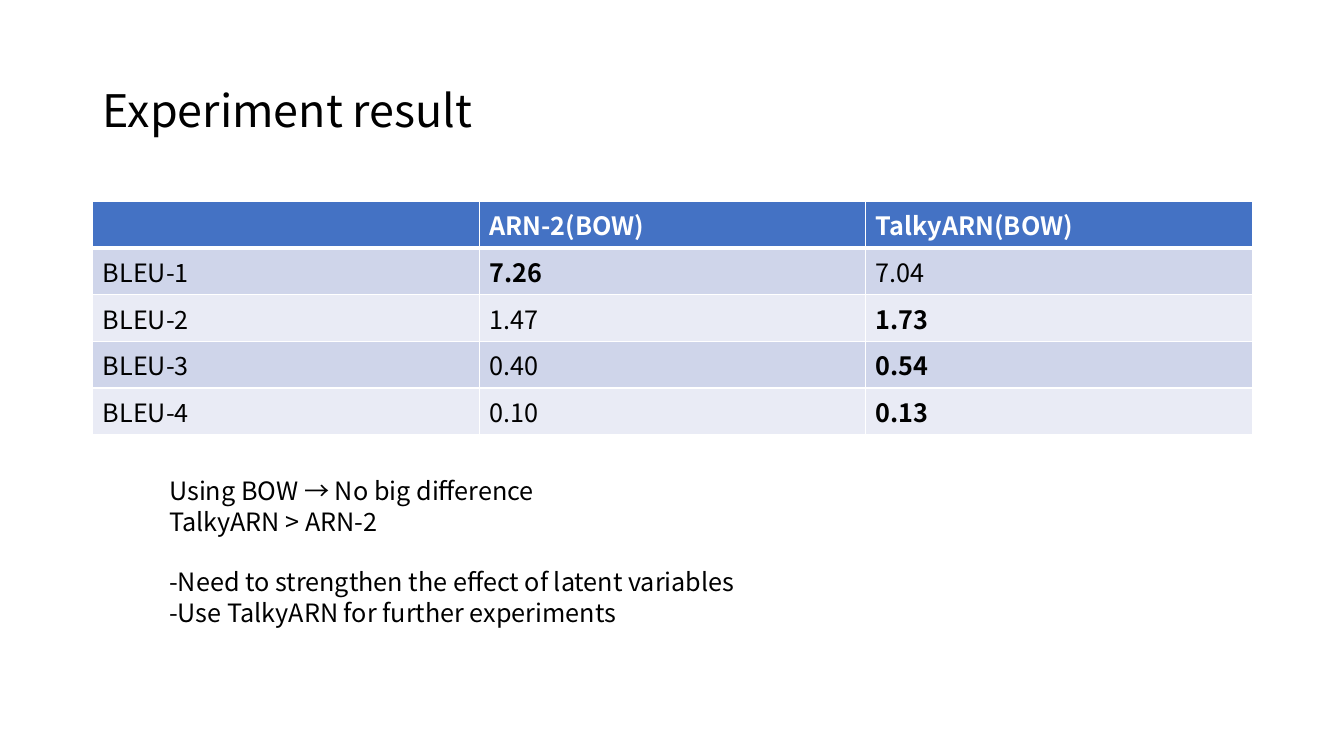
from lxml.etree import SubElement
from pptx import Presentation
from pptx.dml.color import RGBColor
from pptx.enum.text import MSO_ANCHOR, MSO_AUTO_SIZE, PP_ALIGN
from pptx.oxml.ns import qn
from pptx.util import Emu, Inches, Pt

FONT = "Noto Sans CJK KR"
COLORS = {"text": "000000", "white": "FFFFFF", "header": "4472C4",
          "odd": "CFD5EA", "even": "E9EBF5"}


def write(paragraph, text, size=18, color="text", bold=False, spacing=None, before=0):
    paragraph.line_spacing = spacing
    paragraph.space_before = Pt(before)
    run = paragraph.add_run()
    run.text = text
    run.font.size = Pt(size)
    run.font.name = FONT
    run.font.bold = bold
    run.font.color.rgb = RGBColor.from_string(COLORS[color])
    SubElement(run.font._element, qn("a:ea"), typeface=FONT)


def add_borders(cell, **widths):
    """Draw white cell borders; widths are points keyed by side L, R, T, B."""
    properties = cell._tc.get_or_add_tcPr()
    for side, width in widths.items():
        line = SubElement(properties, qn(f"a:ln{side}"), w=str(Pt(width)))
        fill = SubElement(line, qn("a:solidFill"))
        SubElement(fill, qn("a:srgbClr"), val=COLORS["white"])


prs = Presentation()
prs.slide_width, prs.slide_height = Inches(13.33), Inches(7.5)
slide = prs.slides.add_slide(prs.slide_layouts[5])
margin, content_width = Inches(0.92), Inches(11.5)

# Title
title = slide.shapes.title
title.left, title.top = margin, Inches(0.4)
title.width, title.height = content_width, Inches(1.45)
title.text_frame.vertical_anchor = MSO_ANCHOR.MIDDLE
heading = title.text_frame.paragraphs[0]
heading.alignment = PP_ALIGN.LEFT
write(heading, "Experiment result", size=32, spacing=0.9)

# BLEU scores
scores = [
    ("", "ARN-2(BOW)", "TalkyARN(BOW)"),
    ("BLEU-1", "7.26", "7.04"),
    ("BLEU-2", "1.47", "1.73"),
    ("BLEU-3", "0.40", "0.54"),
    ("BLEU-4", "0.10", "0.13"),
]
row_height = Inches(0.41)
table = slide.shapes.add_table(len(scores), len(scores[0]), margin, Inches(2),
                               content_width, row_height * len(scores)).table
for column in table.columns:
    column.width = Emu(content_width // len(scores[0]))

for r, values in enumerate(scores):
    is_header = r == 0
    table.rows[r].height = row_height
    best = max(values[1:], key=float) if not is_header else None
    for c, value in enumerate(values):
        cell = table.cell(r, c)
        add_borders(cell, L=1, R=1, T=3 if r == 1 else 1, B=3 if is_header else 1)
        cell.fill.solid()
        band = "header" if is_header else ("odd" if r % 2 else "even")
        cell.fill.fore_color.rgb = RGBColor.from_string(COLORS[band])
        if value:
            write(cell.text_frame.paragraphs[0], value,
                  color="white" if is_header else "text",
                  bold=is_header or value == best)

# Conclusions: findings, then next steps after a one-line gap
findings = ["Using BOW → No big difference", "TalkyARN > ARN-2"]
next_steps = ["-Need to strengthen the effect of latent variables",
              "-Use TalkyARN for further experiments"]
conclusions = slide.shapes.add_textbox(Inches(1.58), Inches(4.67),
                                       Inches(6), Inches(1.62)).text_frame
conclusions.word_wrap = True
conclusions.auto_size = MSO_AUTO_SIZE.SHAPE_TO_FIT_TEXT
for i, sentence in enumerate(findings + next_steps):
    paragraph = conclusions.add_paragraph() if i else conclusions.paragraphs[0]
    write(paragraph, sentence, before=21.7 if i == len(findings) else 0)

prs.save("out.pptx")
